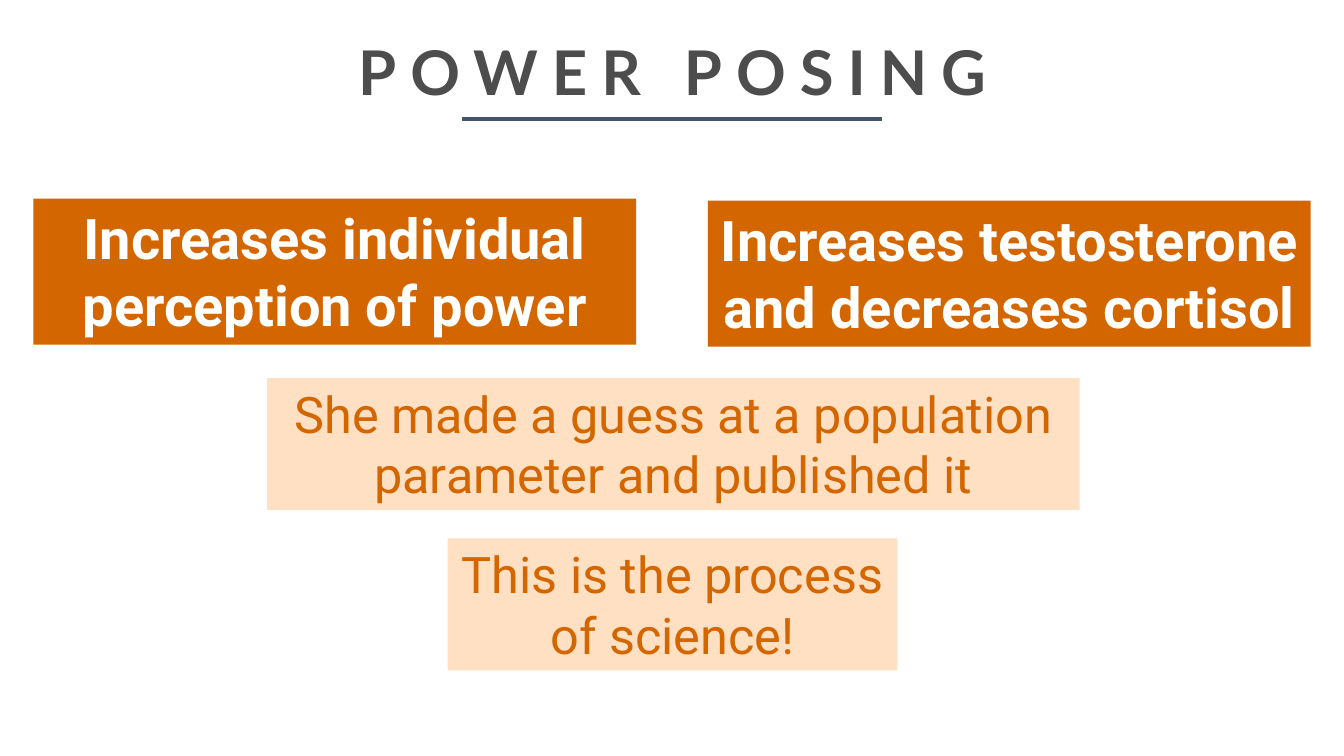
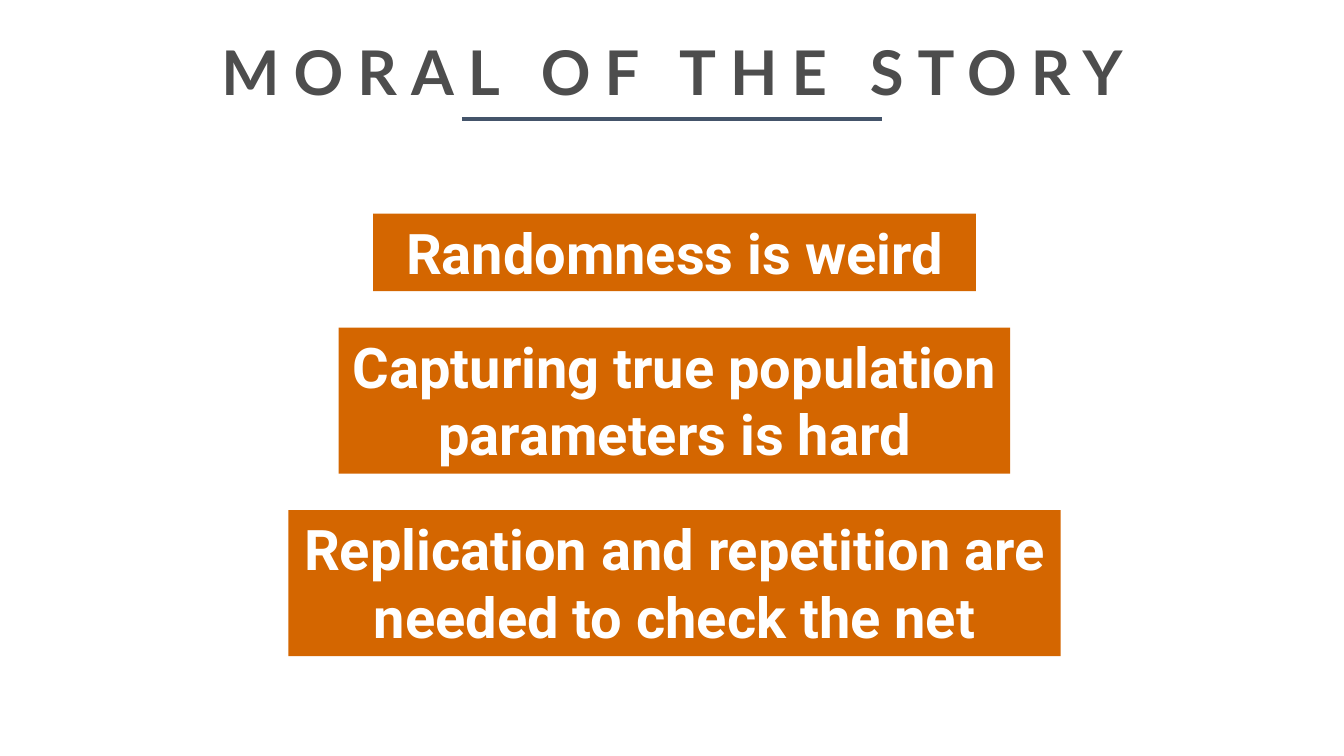
from pptx import Presentation
from pptx.dml.color import RGBColor
from pptx.enum.shapes import MSO_CONNECTOR as Connector, MSO_SHAPE as Shape
from pptx.enum.text import MSO_ANCHOR as Anchor, MSO_AUTO_SIZE as AutoSize, PP_ALIGN as Align
from pptx.oxml.ns import qn
from pptx.util import Inches, Pt
from lxml import etree

WHITE = RGBColor(0xFF, 0xFF, 0xFF)
GRAY = RGBColor(0x4D, 0x4D, 0x4D)
SLATE = RGBColor(0x44, 0x54, 0x6A)
ORANGE = RGBColor(0xD4, 0x66, 0x00)
PEACH = RGBColor(0xFF, 0xE0, 0xC3)

TITLE_ONLY = 5


class Deck:
    """Holds the shared style and the slide being built."""

    title_font = "Lato"
    body_font = "Roboto"

    def __init__(self):
        self.presentation = Presentation()
        self.presentation.slide_width = Inches(13.33)
        self.presentation.slide_height = Inches(7.5)
        self.slide = None

    def add_slide(self, title):
        layout = self.presentation.slide_layouts[TITLE_ONLY]
        self.slide = self.presentation.slides.add_slide(layout)
        self.title(title)
        self.title_rule()

    def add_text(self, frame, text, font_name, size, color, bold):
        """Put one centred run in a text frame and return the run."""
        frame.word_wrap = True
        paragraph = frame.paragraphs[0]
        paragraph.alignment = Align.CENTER
        run = paragraph.add_run()
        run.text = text
        font = run.font
        font.name, font.size, font.bold = font_name, Pt(size), bold
        font.color.rgb = color
        return run

    def title(self, text):
        shape = self.slide.shapes.title
        shape.left, shape.top = Inches(0.92), Inches(0.17)
        shape.width, shape.height = Inches(11.5), Inches(1)
        frame = shape.text_frame
        frame.auto_size = AutoSize.NONE
        frame.vertical_anchor = Anchor.MIDDLE
        run = self.add_text(frame, text, self.title_font, 44, GRAY, True)
        frame.paragraphs[0].line_spacing = 1.1
        # Letter spacing, in hundredths of a point
        run.font._element.set("spc", "1000")

    def title_rule(self):
        rule = self.slide.shapes.add_connector(
            Connector.STRAIGHT, Inches(4.58), Inches(1.18), Inches(8.75), Inches(1.18))
        rule.line.color.rgb = SLATE
        rule.line.width = Pt(3)
        etree.SubElement(rule._element.spPr, qn("a:effectLst"))

    def box(self, text, center, top, width, height, fill, color, size, bold):
        shape = self.slide.shapes.add_shape(
            Shape.RECTANGLE, Inches(center - width / 2), Inches(top),
            Inches(width), Inches(height))
        shape.shadow.inherit = False
        shape.fill.solid()
        shape.fill.fore_color.rgb = fill
        shape.line.fill.background()
        frame = shape.text_frame
        frame.auto_size = AutoSize.SHAPE_TO_FIT_TEXT
        frame.vertical_anchor = Anchor.TOP
        self.add_text(frame, text, self.body_font, size, color, bold)

    def claim(self, text, center, top, width, height=1.45):
        self.box(text, center, top, width, height, ORANGE, WHITE, 40, True)

    def remark(self, text, center, top, width):
        self.box(text, center, top, width, 1.31, PEACH, ORANGE, 36, False)


def main():
    deck = Deck()

    # Power posing: two claims, then remarks below
    deck.add_slide("POWER POSING")
    deck.claim("Increases individual perception of power", 3.32, 1.97, 5.98)
    deck.remark("She made a guess at a population parameter and published it", 6.68, 3.75, 8.06)
    deck.remark("This is the process of science!", 6.67, 5.34, 4.46)
    deck.claim("Increases testosterone and decreases cortisol", 10.01, 1.99, 5.98)

    # Moral of the story: a centred stack with equal gaps
    deck.add_slide("MORAL OF THE STORY")
    top, gap = 2.12, 0.36
    for text, width, height in (
        ("Randomness is weird", 5.98, 0.77),
        ("Capturing true population parameters is hard", 6.66, 1.45),
        ("Replication and repetition are needed to check the net", 7.66, 1.45),
    ):
        deck.claim(text, 6.69, top, width, height)
        top += height + gap

    deck.presentation.save("out.pptx")


if __name__ == "__main__":
    main()
